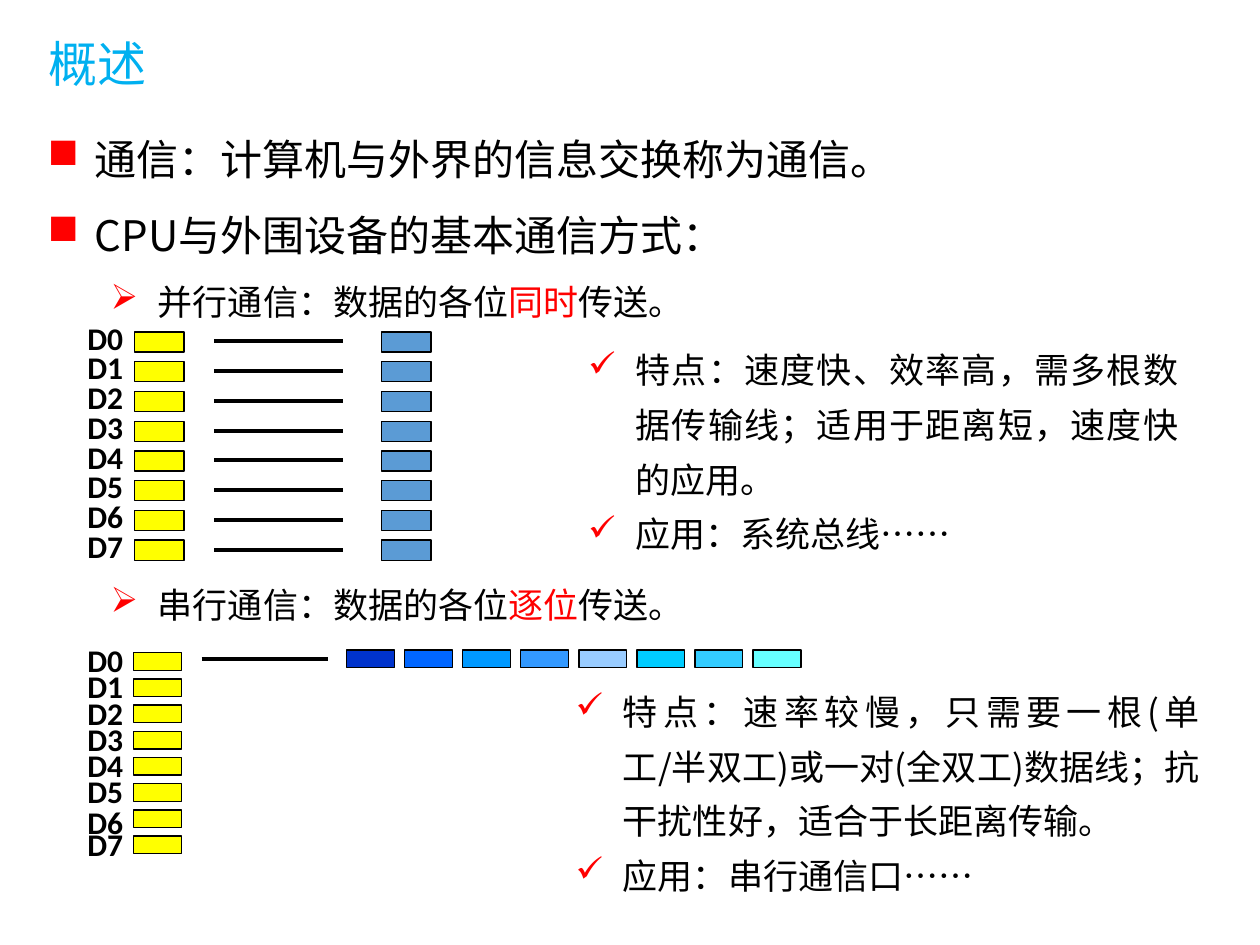
from lxml import etree
from pptx import Presentation
from pptx.dml.color import RGBColor
from pptx.enum.shapes import MSO_CONNECTOR, MSO_SHAPE
from pptx.enum.text import PP_ALIGN
from pptx.oxml.ns import qn
from pptx.util import Inches, Pt

RECT, STRAIGHT = MSO_SHAPE.RECTANGLE, MSO_CONNECTOR.STRAIGHT
LEFT, CENTER, JUSTIFY = PP_ALIGN.LEFT, PP_ALIGN.CENTER, PP_ALIGN.JUSTIFY

CJK, LATIN = "Noto Sans CJK SC", "Calibri"
COLORS = {"title": "00B0F0", "text": "000000", "accent": "FF0000",
          "sender": "FFFF00", "receiver": "5B9BD5"}
STREAM = ["0033CC", "0066FF", "0099FF", "3399FF",
          "99CCFF", "00CCFF", "33CCFF", "66FFFF"]
COLS, ROWS = 100, 75
BITS = 8
LINE_HEIGHT = 1.2  # single line height as a multiple of the text size


def rgb(value):
    return RGBColor.from_string(value)


def add_text(p, text, size=20, color="text", font=CJK, bold=False):
    """Add a run to a paragraph."""
    r = p.add_run()
    r.text = text
    f = r.font
    f.size, f.name, f.bold = Pt(size), font, bold
    f.color.rgb = rgb(COLORS[color])
    etree.SubElement(r._r.get_or_add_rPr(), qn("a:ea"), typeface=font)


class Deck:
    """Holds the presentation, its grid and the current slide."""

    def __init__(self):
        self.prs = Presentation()
        self.prs.slide_width, self.prs.slide_height = Inches(10), Inches(7.5)
        self.s = self.prs.slides.add_slide(self.prs.slide_layouts[6])

    def x(self, cols):
        return round(self.prs.slide_width * cols / COLS)

    def y(self, rows):
        return round(self.prs.slide_height * rows / ROWS)

    def area(self, x, y, w, h):
        return self.x(x), self.y(y), self.x(w), self.y(h)

    def textbox(self, *area):
        tf = self.s.shapes.add_textbox(*self.area(*area)).text_frame
        tf.word_wrap = True
        return tf

    def label(self, area, text, align=LEFT, **style):
        p = self.textbox(*area).paragraphs[0]
        p.alignment = align
        add_text(p, text, **style)

    def bullets(self, area, items, spacing):
        """Each item: bullet, size, indent in columns, space before, parts."""
        tf = self.textbox(*area)
        for i, (mark, size, indent, before, parts) in enumerate(items):
            p = tf.add_paragraph() if i else tf.paragraphs[0]
            pPr = p._p.get_or_add_pPr()
            pPr.set("marL", str(self.x(indent)))
            pPr.set("indent", str(-self.x(3.75)))
            clr = etree.SubElement(pPr, qn("a:buClr"))
            etree.SubElement(clr, qn("a:srgbClr"), val=COLORS["accent"])
            etree.SubElement(pPr, qn("a:buChar"), char=mark)
            p.alignment = JUSTIFY
            p.line_spacing = Pt(size * LINE_HEIGHT * spacing)
            p.space_before = Pt(before)
            for text, color in parts:
                add_text(p, text, size, color)

    def box(self, area, fill):
        sp = self.s.shapes.add_shape(RECT, *self.area(*area))
        sp.shadow.inherit = False
        sp.fill.solid()
        sp.fill.fore_color.rgb = rgb(fill)
        sp.line.color.rgb = rgb(COLORS["text"])
        sp.line.width = Pt(0.75)

    def wire(self, x1, x2, y):
        c = self.s.shapes.add_connector(STRAIGHT, self.x(x1), self.y(y),
                                        self.x(x2), self.y(y))
        c.line.color.rgb = rgb(COLORS["text"])
        c.line.width = Pt(2.25)
        etree.SubElement(c._element.spPr, qn("a:effectLst"))

    def bit(self, i, y, label_y, x, w, h):
        """One labelled bit of the sending side."""
        self.box((x, y, w, h), COLORS["sender"])
        self.label((5.25, label_y, 6.2, 4), f"D{i}", CENTER,
                   size=18, font=LATIN, bold=True)


def mode(name, word, before):
    parts = [(f"{name}：数据的各位", "text"), (word, "accent"), ("传送。", "text")]
    return "➢", 20, 8.75, before, parts


def main():
    d = Deck()

    # Title and outline
    d.label((2.9, 2.2, 94.3, 5.7), "概述", size=28, color="title")
    d.bullets((2.8, 8.1, 94.4, 42.4), [
        ("■", 24, 3.75, 0, [("通信：计算机与外界的信息交换称为通信。", "text")]),
        ("■", 24, 3.75, 0, [("CPU与外围设备的基本通信方式：", "text")]),
        mode("并行通信", "同时", 0),
        mode("串行通信", "逐位", 137),
    ], 1.5)

    # Parallel transfer: one wire for each bit
    for i in range(BITS):
        step = 2.36 * i
        d.bit(i, 26.35 + step, 24.8 + step, 10.7, 3.9, 1.6)
        d.wire(17, 27.2, 27.1 + step)
        d.box((30.3, 26.35 + step, 3.9, 1.6), COLORS["receiver"])

    # Serial transfer: bits follow each other on one wire
    for i, fill in enumerate(STREAM):
        step = 2.08 * i
        nudge = 0.4 if i == 6 else 0
        d.bit(i, 51.8 + step, 50.4 + step + nudge, 10.6, 3.8, 1.4)
        d.box((27.5 + 4.61 * i, 51.6, 3.8, 1.4), fill)
    d.wire(16, 26, 52.3)

    # Features and uses of each mode
    for area, feature, use in [
        ((45.7, 26.2, 48.8, 18.5),
         "速度快、效率高，需多根数据传输线；适用于距离短，速度快的应用。",
         "系统总线……"),
        ((44.7, 53.3, 51.5, 18.5),
         "速率较慢，只需要一根(单工/半双工)或一对(全双工)数据线；"
         "抗干扰性好，适合于长距离传输。",
         "串行通信口……"),
    ]:
        d.bullets(area, [("✓", 20, 3.75, 0, [(text, "text")])
                         for text in (f"特点：{feature}", f"应用：{use}")], 1.3)

    d.prs.save("out.pptx")


if __name__ == "__main__":
    main()
